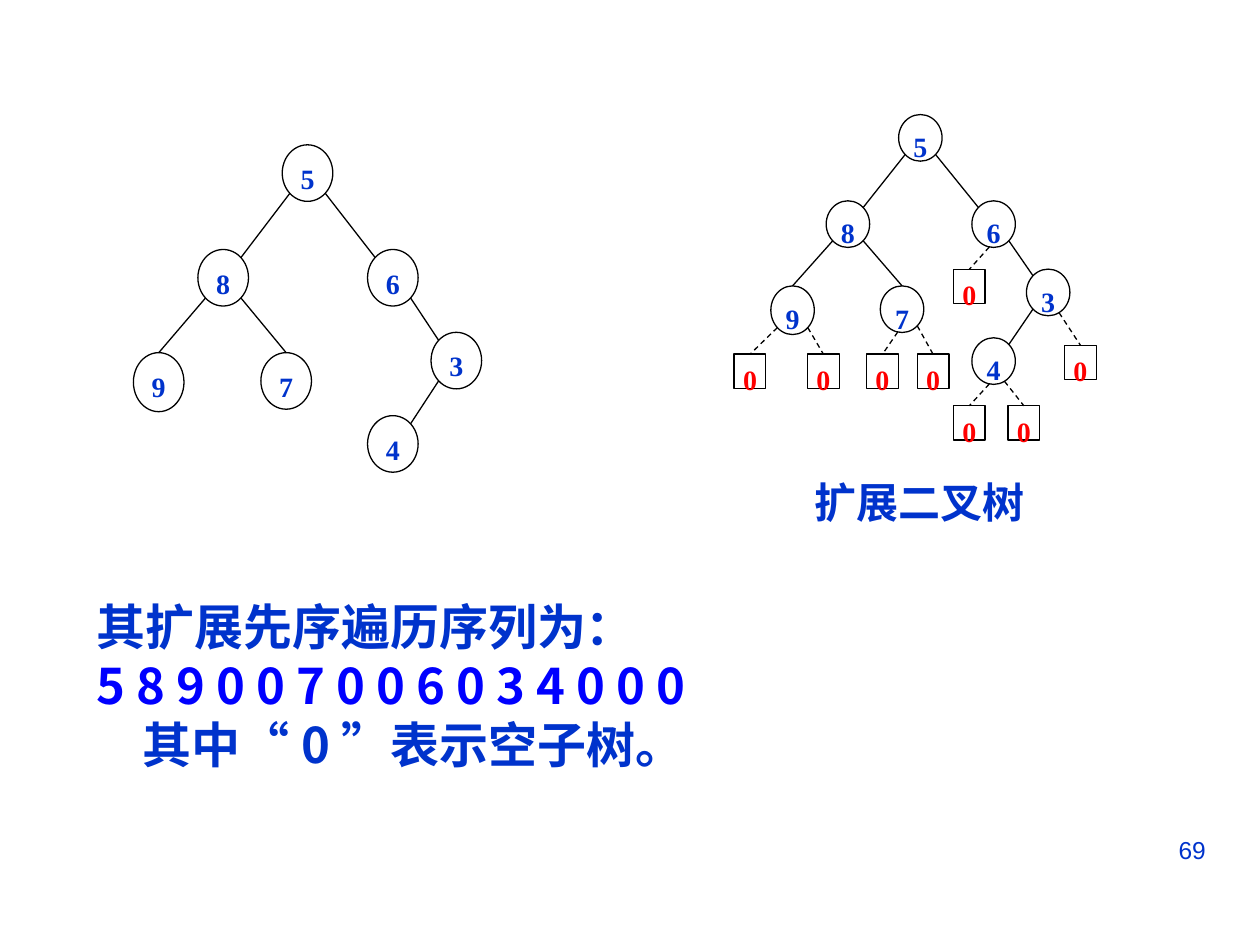
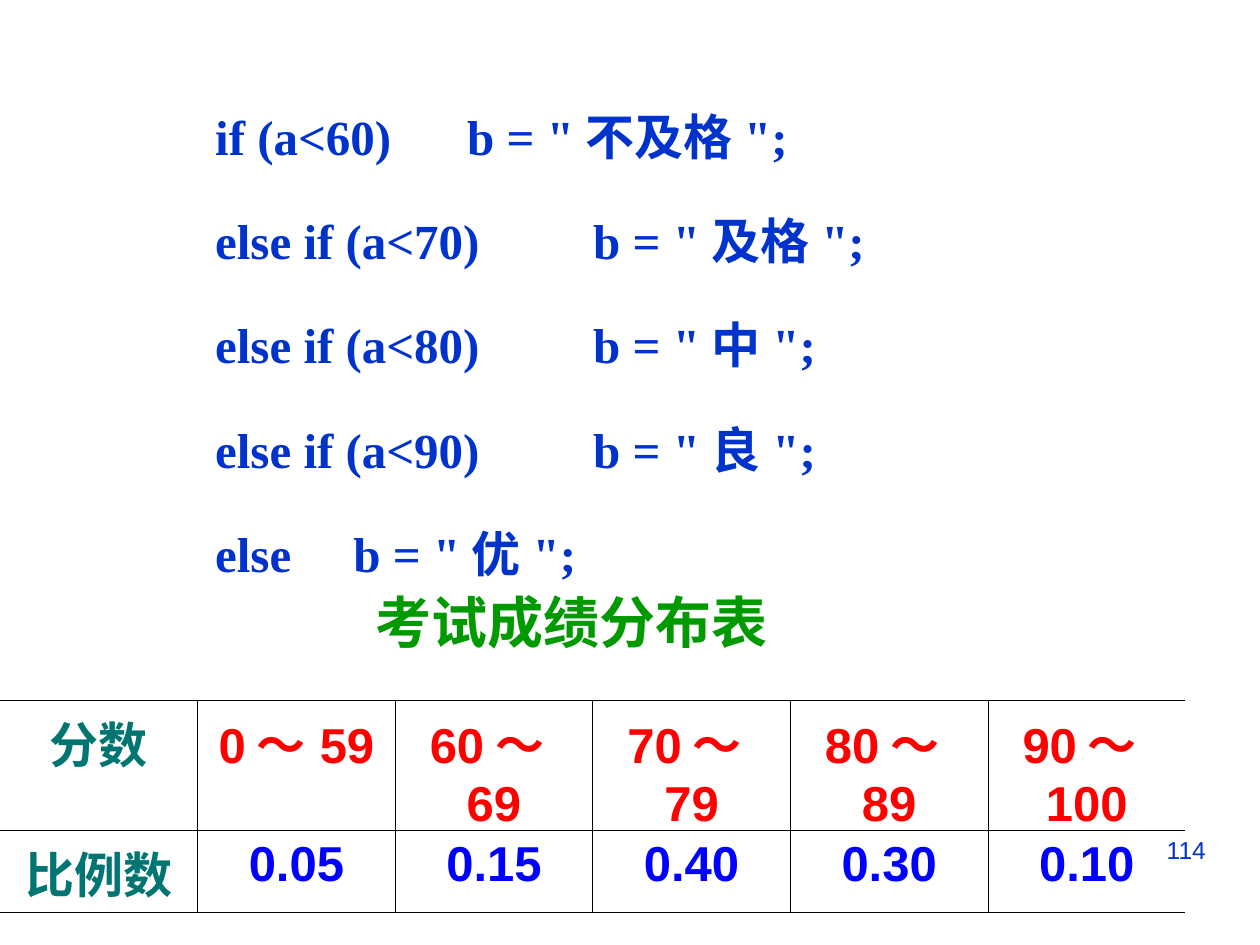
from collections import namedtuple
from math import sqrt

from pptx import Presentation
from pptx.dml.color import RGBColor
from pptx.enum.dml import MSO_LINE
from pptx.enum.shapes import MSO_CONNECTOR, MSO_SHAPE
from pptx.enum.text import MSO_ANCHOR, PP_ALIGN
from pptx.oxml.ns import qn
from pptx.oxml.xmlchemy import OxmlElement
from pptx.util import Cm, Pt

LEFT, CENTER, RIGHT = PP_ALIGN.LEFT, PP_ALIGN.CENTER, PP_ALIGN.RIGHT
OVAL, RECTANGLE = MSO_SHAPE.OVAL, MSO_SHAPE.RECTANGLE
STRAIGHT, DASH = MSO_CONNECTOR.STRAIGHT, MSO_LINE.DASH
TOP = MSO_ANCHOR.TOP

COLORS = {
    "text": "0033CC", "sequence": "0000FF", "empty": "FF0000",
    "caption": "009900", "label": "007572", "line": "000000", "fill": "FFFFFF",
}
SANS, SERIF, CJK = "Arial", "Times New Roman", "Noto Sans CJK SC"

Box = namedtuple("Box", "left top width height")  # centimetres

# The tree at full size: left, top and height of each node
TREE_WIDTH, TREE_HEIGHT = 7.01, 6.6
NODE_WIDTH, NODE_HEIGHT = 1.02, 1.14
NODES = {
    "5": (3.0, 0, NODE_HEIGHT), "8": (1.3, 2.11, NODE_HEIGHT),
    "6": (4.72, 2.11, NODE_HEIGHT), "9": (0, 4.19, 1.19),
    "7": (2.57, 4.19, NODE_HEIGHT), "3": (6.0, 3.78, NODE_HEIGHT),
    "4": (4.72, 5.46, NODE_HEIGHT),
}
# Parent, child, side of the parent, side of the child (0 is its top)
DIAGONAL = 0.7
EDGES = [
    ("5", "8", -DIAGONAL, DIAGONAL), ("5", "6", DIAGONAL, -DIAGONAL),
    ("8", "9", -DIAGONAL, 0), ("8", "7", DIAGONAL, 0),
    ("6", "3", DIAGONAL, -DIAGONAL), ("3", "4", -DIAGONAL, DIAGONAL),
]
# Parent, side of the parent, left, top of each empty subtree
EMPTY_WIDTH, EMPTY_HEIGHT = 0.64, 0.69
EMPTY_SUBTREES = [
    ("6", -0.2, 3.68, 3.12), ("9", -0.7, -0.74, 4.83), ("9", 0.7, 0.74, 4.83),
    ("7", -0.2, 1.93, 4.83), ("7", 0.7, 2.95, 4.83), ("4", -0.2, 3.68, 5.87),
    ("4", 0.5, 4.78, 5.87), ("3", 0.5, 5.92, 4.65),
]


def rgb(name):
    return RGBColor.from_string(COLORS[name])


def set_font(target, name, size, color, bold=True):
    """Format a paragraph or a span, East Asian text included."""
    font = target.font
    font.name, font.size, font.bold = name, Pt(size), bold
    font.color.rgb = rgb(color)
    if hasattr(target, "_p"):
        properties = target._p.pPr.find(qn("a:defRPr"))
    else:
        properties = target._r.rPr
    east_asian = OxmlElement("a:ea")
    east_asian.set("typeface", CJK)
    properties.find(qn("a:latin")).addnext(east_asian)


def add_text(page, box, lines, name, size, color, align=LEFT, bold=True,
             spacing=None, gap=0, tabs=()):
    """Add a text box of equally formatted lines and return its paragraphs."""
    frame = page.shapes.add_textbox(*map(Cm, box)).text_frame
    frame.word_wrap = True
    for index, line in enumerate(lines):
        para = frame.paragraphs[0] if index == 0 else frame.add_paragraph()
        para.text = line
        para.alignment = align
        if spacing:
            para.line_spacing = spacing
        if index and gap:
            para.space_before = Pt(gap)
        if tabs:
            add_tabs(para, tabs)
        set_font(para, name, size, color, bold)
    return frame.paragraphs


def add_tabs(para, stops):
    tab_list = OxmlElement("a:tabLst")
    for stop in stops:
        tab = OxmlElement("a:tab")
        tab.set("pos", str(Cm(stop)))
        tab.set("algn", "l")
        tab_list.append(tab)
    para._p.get_or_add_pPr().append(tab_list)


def add_page_number(page, number):
    add_text(page, Box(18.21, 16.71, 6.35, 1.32), [number], SANS, 14, "text",
             RIGHT, bold=False)


def add_node(shapes, kind, box, label, color):
    node = shapes.add_shape(kind, *map(Cm, box))
    node.shadow.inherit = False
    node.fill.solid()
    node.fill.fore_color.rgb = rgb("fill")
    node.line.color.rgb = rgb("line")
    node.line.width = Pt(0.75)
    frame = node.text_frame
    frame.margin_left = frame.margin_right = 0
    frame.margin_top = frame.margin_bottom = 0
    frame.vertical_anchor = TOP
    para = frame.paragraphs[0]
    para.text = label
    para.alignment = CENTER
    para.line_spacing = 1.25
    set_font(para, SERIF, 16, color)
    return node


def add_edge(shapes, start, end):
    edge = shapes.add_connector(STRAIGHT, *map(Cm, start + end))
    edge.line.color.rgb = rgb("line")
    edge.line.width = Pt(0.75)
    edge._element.spPr.append(OxmlElement("a:effectLst"))
    return edge


def outline_point(oval, side, direction):
    """Point of an oval at a share of its half width, below (1) or above (-1)."""
    half_width, half_height = oval.width / 2, oval.height / 2
    return (oval.left + half_width * (1 + side),
            oval.top + half_height * (1 + direction * sqrt(1 - side ** 2)))


def add_tree(page, box, extended=False):
    """Fit the binary tree into a box, with its empty subtrees if extended."""
    shapes = page.shapes.add_group_shape().shapes
    scale_x, scale_y = box.width / TREE_WIDTH, box.height / TREE_HEIGHT
    ovals = {}
    for label, (left, top, height) in NODES.items():
        ovals[label] = Box(box.left + left * scale_x, box.top + top * scale_y,
                           NODE_WIDTH * scale_x, height * scale_y)
        add_node(shapes, OVAL, ovals[label], label, "text")
    for parent, child, parent_side, child_side in EDGES:
        add_edge(shapes, outline_point(ovals[parent], parent_side, 1),
                 outline_point(ovals[child], child_side, -1))
    if not extended:
        return
    for parent, side, left, top in EMPTY_SUBTREES:
        place = Box(box.left + left, box.top + top, EMPTY_WIDTH, EMPTY_HEIGHT)
        empty = add_node(shapes, RECTANGLE, place, "0", "empty")
        edge = add_edge(shapes, outline_point(ovals[parent], side, 1),
                        (place.left + EMPTY_WIDTH / 2, place.top))
        edge.line.dash_style = DASH
        edge.end_connect(empty, 0)


def add_traversal(page, box):
    lines = ["其扩展先序遍历序列为：", "5 8 9 0 0 7 0 0 6 0 3 4 0 0 0", ""]
    _, sequence, remark = add_text(page, box, lines, CJK, 28, "text")
    sequence.font.color.rgb = rgb("sequence")
    remark._p.pPr.set("marL", str(Cm(0.93)))
    for text, name in [("其中", CJK), ("“", SANS), ("0", CJK), ("”", SANS),
                       ("表示空子树。", CJK)]:
        span = remark.add_run()
        span.text = text
        set_font(span, name, 28, "text")


def set_border(cell, side, visible):
    border = OxmlElement("a:" + side)
    border.set("w", str(Pt(0.45)))
    fill = OxmlElement("a:solidFill" if visible else "a:noFill")
    if visible:
        color = OxmlElement("a:srgbClr")
        color.set("val", COLORS["line"])
        fill.append(color)
    border.append(fill)
    cell._tc.get_or_add_tcPr().append(border)


def add_score_table(page, box):
    rows = [
        ("分数", "0～59", "60～69", "70～79", "80～89", "90～100"),
        ("比例数", "0.05", "0.15", "0.40", "0.30", "0.10"),
    ]
    heights, value_colors = (2.62, 1.65), ("empty", "sequence")
    last = len(rows[0]) - 1
    table = page.shapes.add_table(len(rows), last + 1, *map(Cm, box)).table
    table.first_row = table.horz_banding = False
    for column in table.columns:
        column.width = Cm(box.width / (last + 1))
    for row_index, values in enumerate(rows):
        table.rows[row_index].height = Cm(heights[row_index])
        for column_index, value in enumerate(values):
            cell = table.cell(row_index, column_index)
            # Open at the left and right ends of the table
            set_border(cell, "lnL", column_index > 0)
            set_border(cell, "lnR", column_index < last)
            set_border(cell, "lnT", True)
            set_border(cell, "lnB", True)
            cell.fill.background()
            para = cell.text_frame.paragraphs[0]
            para.text = value
            para.alignment = CENTER
            color = value_colors[row_index] if column_index else "label"
            set_font(para, SANS, 28, color)


def build_tree_page(page):
    add_page_number(page, "69")
    add_tree(page, Box(2.69, 2.92, TREE_WIDTH, TREE_HEIGHT))
    add_tree(page, Box(15.54, 2.31, 6.02, 5.44), extended=True)
    add_text(page, Box(15.95, 9.22, 5.16, 1.04), ["扩展二叉树"], CJK, 24,
             "text", CENTER, spacing=1.25)
    add_traversal(page, Box(1.7, 11.91, 16.21, 5.0))


def build_grades_page(page):
    add_page_number(page, "114")
    code = [
        'if (a<60)\tb = "不及格";',
        'else if (a<70)\tb = "及格";',
        'else if (a<80)\tb = "中";',
        'else if (a<90)\tb = "良";',
        'else\t b = "优";',
    ]
    add_text(page, Box(4.09, 1.73, 16.21, 10.13), code, SERIF, 28, "text",
             spacing=1.25, gap=17.5, tabs=[2.54 * inch for inch in range(8)])
    add_text(page, Box(7.32, 11.66, 8.92, 2.92), ["考试成绩分布表"], SERIF, 32,
             "caption", spacing=1.05)
    add_score_table(page, Box(0, 14.12, 23.9, 4.27))


def main():
    deck = Presentation()
    deck.slide_width, deck.slide_height = Cm(25.4), Cm(19.05)
    blank = deck.slide_layouts[6]
    for build in (build_tree_page, build_grades_page):
        build(deck.slides.add_slide(blank))
    deck.save("out.pptx")


if __name__ == "__main__":
    main()
